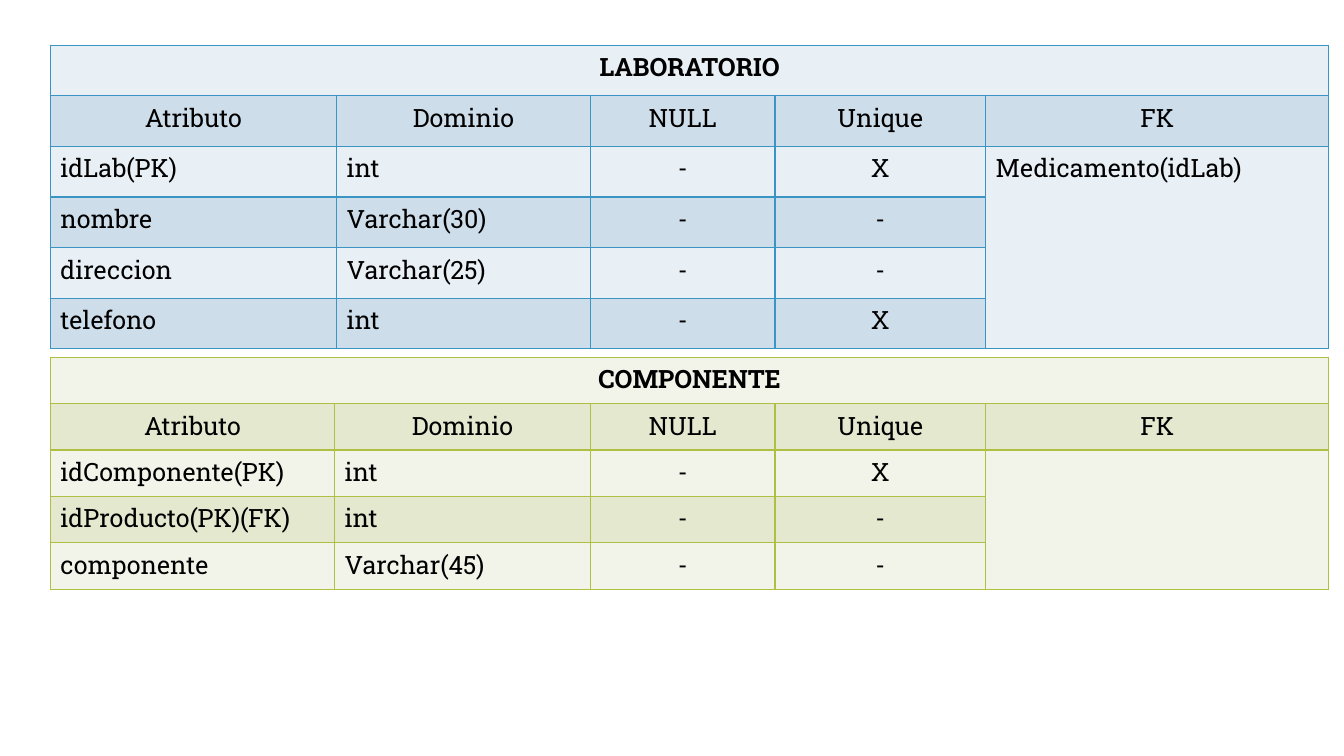
from lxml.etree import SubElement
from pptx import Presentation
from pptx.dml.color import RGBColor as RGB
from pptx.enum.text import PP_ALIGN as Align
from pptx.oxml.ns import qn
from pptx.util import Cm, Pt

COLORS = {
    "text": "000000",
    "blue_line": "3B95C4", "blue_light": "E8EFF5", "blue_dark": "CEDDEA",
    "green_line": "AFBF41", "green_light": "F2F4E9", "green_dark": "E3E8CF",
}
FONT = "Roboto Slab"
HEADERS = ["Atributo", "Dominio", "NULL", "Unique", "FK"]
LABORATORIO = [
    ["idLab(PK)", "int", "-", "X", "Medicamento(idLab)"],
    ["nombre", "Varchar(30)", "-", "-", ""],
    ["direccion", "Varchar(25)", "-", "-", ""],
    ["telefono", "int", "-", "X", ""],
]
COMPONENTE = [
    ["idComponente(PK)", "int", "-", "X", ""],
    ["idProducto(PK)(FK)", "int", "-", "-", ""],
    ["componente", "Varchar(45)", "-", "-", ""],
]


def set_borders(cell, color):
    """Draw a one-point line on the four sides of a cell."""
    tc_pr = cell._tc.get_or_add_tcPr()
    for side in ("a:lnL", "a:lnR", "a:lnT", "a:lnB"):
        ln = SubElement(tc_pr, qn(side), w=str(Pt(1)))
        fill = SubElement(ln, qn("a:solidFill"))
        SubElement(fill, qn("a:srgbClr"), val=color)


def format_cell(cell, text, theme, band, centered, bold):
    """Write and style one cell."""
    set_borders(cell, COLORS[f"{theme}_line"])
    cell.fill.solid()
    cell.fill.fore_color.rgb = RGB.from_string(COLORS[f"{theme}_{band}"])
    p = cell.text_frame.paragraphs[0]
    p.text = text
    p.alignment = Align.CENTER if centered else Align.LEFT
    p.font.name, p.font.size, p.font.bold = FONT, Pt(18), bold
    p.font.color.rgb = RGB.from_string(COLORS["text"])


def add_entity(s, box, title, attributes, theme, col_widths):
    """Place the dictionary table of one entity in its box."""
    rows = [[title, "", "", "", ""], HEADERS, *attributes]
    frame = s.shapes.add_table(len(rows), len(HEADERS), *map(Cm, box))
    table = frame.table
    for col, width in zip(table.columns, col_widths):
        col.width = Cm(width)
    for i, values in enumerate(rows):
        table.rows[i].height = Cm(box[3] / len(rows))
        for j, text in enumerate(values):
            band = "dark" if i % 2 else "light"
            centered = i < 2 or j in (2, 3)
            format_cell(table.cell(i, j), text, theme, band, centered, i == 0)
    last = len(HEADERS) - 1
    table.cell(0, 0).merge(table.cell(0, last))
    table.cell(2, last).merge(table.cell(len(rows) - 1, last))


def main():
    """Build the slide with both entity tables."""
    prs = Presentation()
    prs.slide_width, prs.slide_height = Cm(33.87), Cm(19.05)
    s = prs.slides.add_slide(prs.slide_layouts[6])
    add_entity(s, (1.27, 1.14, 32.22, 7.65), "LABORATORIO", LABORATORIO,
               "blue", (7.21, 6.4, 4.65, 5.31, 8.65))
    add_entity(s, (1.27, 9, 32.22, 5.85), "COMPONENTE", COMPONENTE,
               "green", (7.16, 6.45, 4.65, 5.31, 8.65))
    prs.save("out.pptx")


if __name__ == "__main__":
    main()
